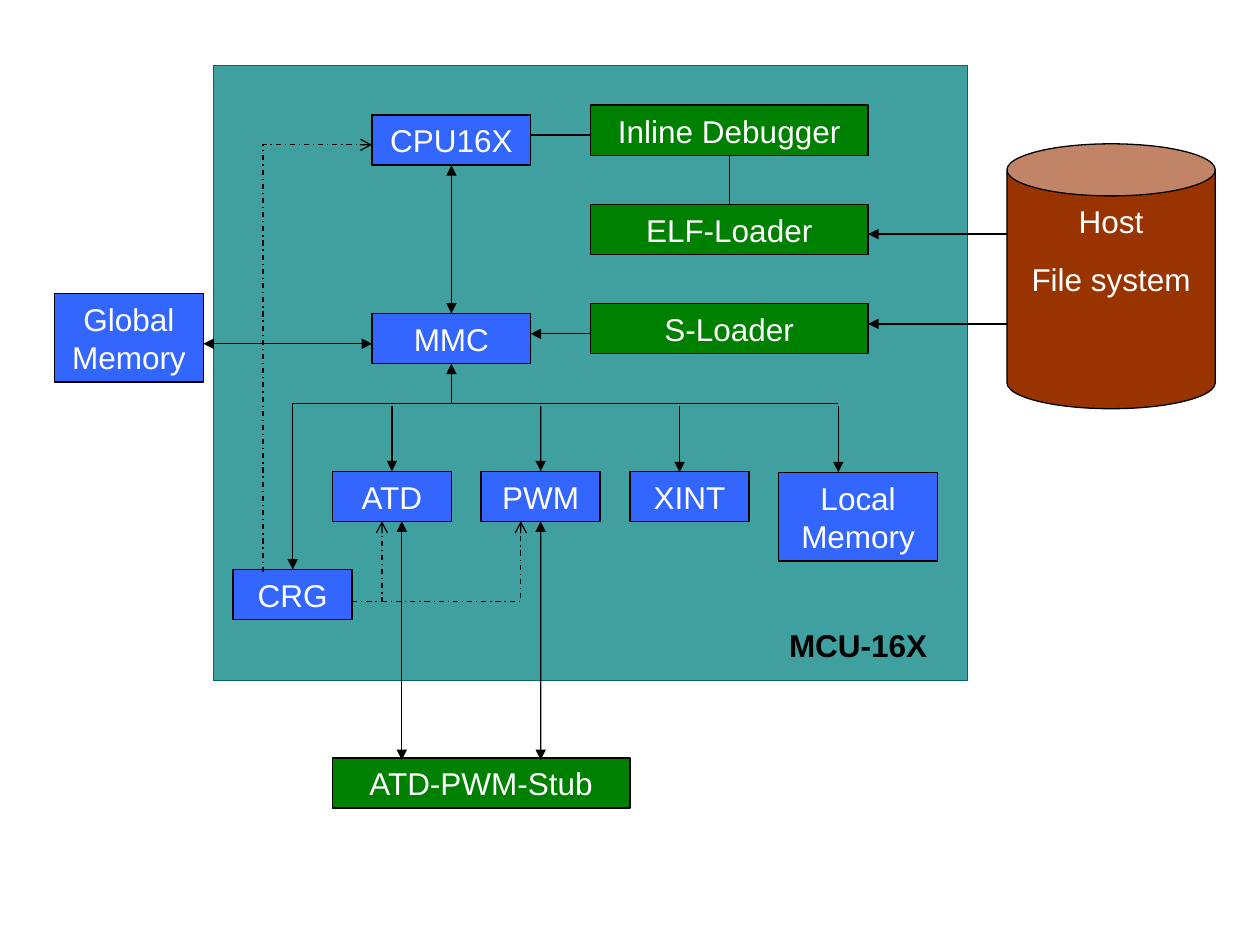
from lxml.etree import SubElement
from pptx import Presentation
from pptx.dml.color import RGBColor
from pptx.enum.dml import MSO_LINE
from pptx.enum.shapes import MSO_CONNECTOR, MSO_SHAPE
from pptx.enum.text import MSO_ANCHOR, PP_ALIGN
from pptx.oxml.ns import qn
from pptx.util import Cm, Pt

COLORS = {
    "panel": "008080",
    "panel line": "006666",
    "hardware": "3366FF",
    "software": "008000",
    "host": "993300",
    "line": "000000",
    "light text": "FFFFFF",
    "dark text": "000000",
}
FRAME_FORMAT = {
    "word_wrap": True,
    "vertical_anchor": MSO_ANCHOR.TOP,
    "margin_left": Cm(0.25),
    "margin_right": Cm(0.25),
    "margin_top": Cm(0.13),
    "margin_bottom": Cm(0.13),
}
PARAGRAPH_FORMAT = {"alignment": PP_ALIGN.CENTER, "space_before": Pt(11.2)}
FONT_FORMAT = {"name": "Arial", "size": Pt(18)}

ROW = 1.01          # height of a one-line box
TALL = 1.78         # height of a two-line box
TOP, LEFT, BOTTOM, RIGHT = range(4)


def color(name):
    return RGBColor.from_string(COLORS[name])


def set_format(target, values):
    for attribute, value in values.items():
        setattr(target, attribute, value)


def write_text(shape, text, text_color="light text", bold=False):
    frame = shape.text_frame
    set_format(frame, FRAME_FORMAT)
    frame.text = text
    for paragraph in frame.paragraphs:
        set_format(paragraph, PARAGRAPH_FORMAT)
        font = paragraph.runs[0].font
        set_format(font, FONT_FORMAT | {"bold": bold})
        font.color.rgb = color(text_color)


def style_line(shape, line_color="line"):
    shape.line.color.rgb = color(line_color)
    shape.line.width = Pt(0.75)


def add_block(slide, text, fill, left, top, width, height=ROW,
              kind=MSO_SHAPE.RECTANGLE, line_color="line"):
    shape = slide.shapes.add_shape(kind, Cm(left), Cm(top), Cm(width), Cm(height))
    shape.shadow.inherit = False
    shape.fill.solid()
    shape.fill.fore_color.rgb = color(fill)
    style_line(shape, line_color)
    if text:
        write_text(shape, text)
    return shape


def add_arrowheads(shape, **ends):
    line = shape.line._get_or_add_ln()
    for end, kind in ends.items():
        SubElement(line, qn(f"a:{end}"), type=kind)


def add_line(slide, start, end, arrows="", begin=None, finish=None):
    """Straight line; arrows holds '<' and/or '>', begin and finish are (shape, side)."""
    connector = slide.shapes.add_connector(
        MSO_CONNECTOR.STRAIGHT, *(Cm(value) for value in start + end))
    if begin:
        connector.begin_connect(*begin)
    if finish:
        connector.end_connect(*finish)
    style_line(connector)
    SubElement(connector._element.spPr, qn("a:effectLst"))
    if "<" in arrows:
        add_arrowheads(connector, headEnd="triangle")
    if ">" in arrows:
        add_arrowheads(connector, tailEnd="triangle")


def add_dashed_path(slide, points):
    start, *others = [(Cm(x), Cm(y)) for x, y in points]
    builder = slide.shapes.build_freeform(*start)
    builder.add_line_segments(others, close=False)
    shape = builder.convert_to_shape()
    shape.shadow.inherit = False
    shape.fill.background()
    style_line(shape)
    shape.line.dash_style = MSO_LINE.DASH_DOT
    add_arrowheads(shape, tailEnd="arrow")


def main():
    presentation = Presentation()
    presentation.slide_width, presentation.slide_height = Cm(25.4), Cm(19.05)
    slide = presentation.slides.add_slide(presentation.slide_layouts[6])

    # Translucent controller panel and its label
    panel = add_block(slide, "", "panel", 4.3, 1.32, 15.2, 12.4, line_color="panel line")
    panel_color = panel._element.spPr.find(f"{qn('a:solidFill')}/{qn('a:srgbClr')}")
    SubElement(panel_color, qn("a:alpha"), val="75000")
    label = slide.shapes.add_textbox(Cm(15.3), Cm(12.5), Cm(4), Cm(ROW))
    write_text(label, "MCU-16X", "dark text", bold=True)

    # Hardware blocks
    cpu, mmc = [add_block(slide, name, "hardware", 7.5, top, 3.2)
                for name, top in (("CPU16X", 2.32), ("MMC", 6.32))]
    atd, pwm, xint = [add_block(slide, name, "hardware", 6.7 + 3 * index, 9.5, 2.4)
                      for index, name in enumerate(("ATD", "PWM", "XINT"))]
    add_block(slide, "Local Memory", "hardware", 15.7, 9.53, 3.2, TALL)
    add_block(slide, "Global Memory", "hardware", 1.1, 5.92, 3, TALL)
    crg = add_block(slide, "CRG", "hardware", 4.7, 11.48, 2.4)

    # Software blocks and host storage
    debugger, elf_loader, s_loader = [
        add_block(slide, name, "software", 11.9, 2.12 + 2 * index, 5.6)
        for index, name in enumerate(("Inline Debugger", "ELF-Loader", "S-Loader"))]
    add_block(slide, "ATD-PWM-Stub", "software", 6.7, 15.28, 6)
    add_block(slide, "Host\nFile system", "host", 20.3, 2.9, 4.2, 5.34, MSO_SHAPE.CAN)

    # Links between processor, memory and loaders
    add_line(slide, (9.1, 3.33), (9.1, 6.32), "<>", (cpu, BOTTOM), (mmc, TOP))
    add_line(slide, (14.7, 3.13), (14.7, 4.12), "", (debugger, BOTTOM), (elf_loader, TOP))
    for left, right, y, arrows in (
            (10.7, 11.9, 2.72, ""), (10.7, 11.9, 6.73, "<"), (4.1, 7.5, 6.93, "<>"),
            (17.5, 20.3, 4.72, "<"), (17.5, 20.3, 6.53, "<")):
        add_line(slide, (left, y), (right, y), arrows)

    # Peripheral bus and its branches
    bus = 8.13
    add_line(slide, (5.9, bus), (16.9, bus))
    add_line(slide, (9.1, 7.33), (9.1, bus), "<", (mmc, BOTTOM))
    add_line(slide, (5.9, bus), (5.9, 11.48), ">", None, (crg, TOP))
    for x, target in ((7.9, (atd, TOP)), (10.9, (pwm, TOP)), (13.7, None), (16.9, None)):
        add_line(slide, (x, bus + 0.05), (x, 9.52), ">", None, target)

    # Links down to the stub
    for x, source in ((8.1, None), (10.9, (pwm, BOTTOM))):
        add_line(slide, (x, 10.51), (x, 15.32), "<>", source)

    # Clock paths
    add_dashed_path(slide, [(5.3, 11.53), (5.3, 2.92), (7.5, 2.92)])
    for start, end in ((7.1, 7.7), (7.7, 10.5)):
        add_dashed_path(slide, [(start, 12.12), (end, 12.12), (end, 10.51)])

    presentation.save("out.pptx")


if __name__ == "__main__":
    main()
